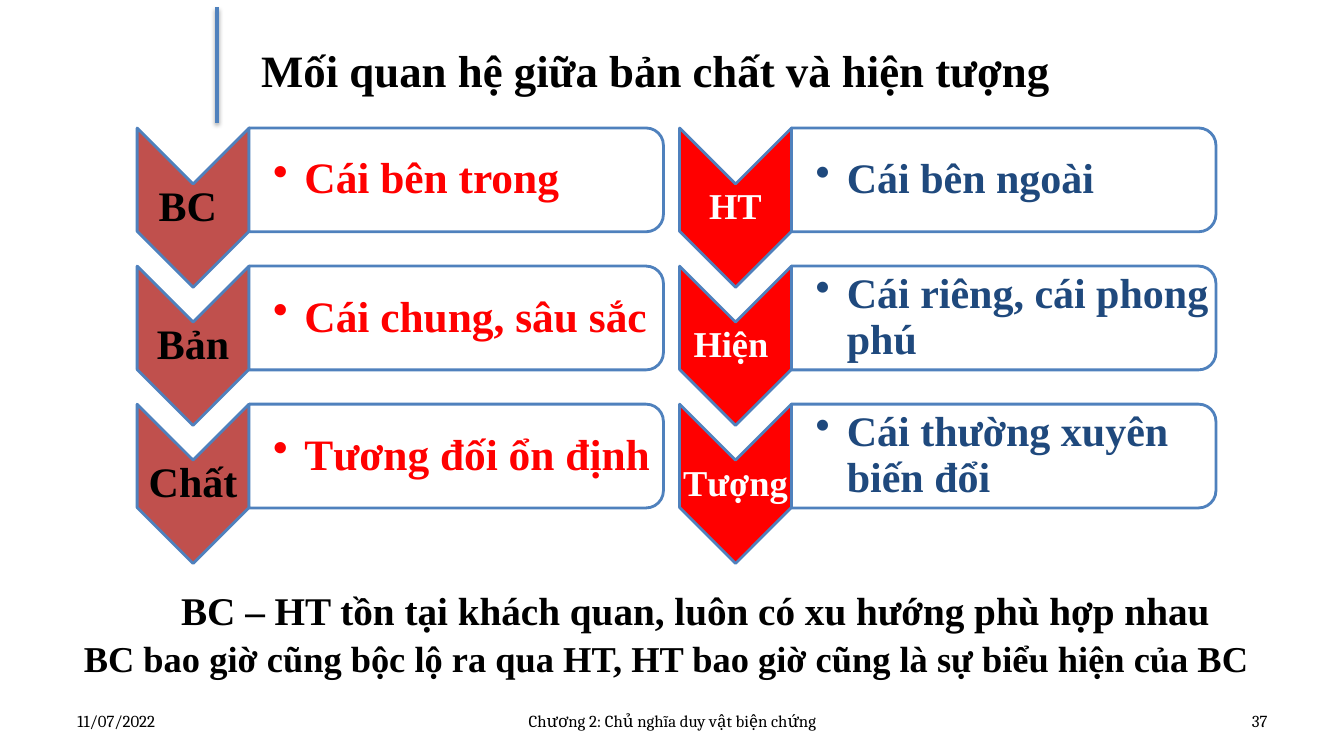
from pptx import Presentation
from pptx import util as u
from pptx.dml.color import RGBColor
from pptx.enum import shapes, text
from pptx.oxml import parse_xml
from pptx.oxml.ns import nsdecls, qn

SHAPE = shapes.MSO_SHAPE
ALIGN = text.PP_ALIGN
BLUE, RED, WHITE, BLACK = "4F81BD", "FF0000", "FFFFFF", "000000"


def paint(target, color):
    """Give a fill or line format a solid colour."""
    target.solid()
    target.fore_color.rgb = RGBColor.from_string(color)


def write(para, words, size=12, color=BLACK, bold=True, font="Times New Roman",
          align=ALIGN.LEFT, lead=1.0, after=0, left=0, hang=0, bullet=None):
    """Write one formatted paragraph."""
    para.alignment, para.line_spacing = align, lead
    para.space_before, para.space_after = u.Pt(0), u.Pt(after)
    props = para._p.get_or_add_pPr()
    props.set("marL", str(u.Inches(left)))
    props.set("indent", str(u.Inches(-hang)))
    mark = f'<a:buChar {nsdecls("a")} char="{bullet}"/>' if bullet else f'<a:buNone {nsdecls("a")}/>'
    props.append(parse_xml(mark))
    run = para.add_run()
    run.text = words
    run.font.name, run.font.size, run.font.bold = font, u.Pt(size), bold
    run.font.color.rgb = RGBColor.from_string(color)


class Deck:
    def __init__(self):
        self.prs = Presentation()
        self.prs.slide_width, self.prs.slide_height = u.Inches(13.33), u.Inches(7.5)
        self.slide = self.prs.slides.add_slide(self.prs.slide_layouts[1])
        self.items = self.slide.shapes

    def frame(self, shape, pad):
        """Set up the text area of a shape."""
        area = shape.text_frame
        area.word_wrap = True
        area.auto_size = text.MSO_AUTO_SIZE.NONE
        area.vertical_anchor = text.MSO_ANCHOR.MIDDLE
        (area.margin_left, area.margin_top,
         area.margin_right, area.margin_bottom) = map(u.Inches, pad)
        return area

    def holder(self, shape, box):
        """Move a placeholder and return its text area."""
        shape.left, shape.top, shape.width, shape.height = map(u.Inches, box)
        paint(shape.fill, WHITE)
        return self.frame(shape, (0.1, 0.05, 0.1, 0.05))

    def label(self, words, box, pad=(0.1, 0.05, 0.1, 0.05), **style):
        area = self.frame(self.items.add_textbox(*map(u.Inches, box)), pad)
        write(area.paragraphs[0], words, **style)

    def turned(self, kind, box, color, alpha=None):
        """Draw a shape turned by 90 degrees that fills the given box."""
        left, top, wide, high = box
        shift = (wide - high) / 2
        shape = self.items.add_shape(
            kind, *map(u.Inches, (left + shift, top - shift, high, wide)))
        shape.rotation = 90
        shape.shadow.inherit = False
        paint(shape.fill, color)
        if alpha:
            tone = shape._element.spPr.find(qn("a:solidFill"))[0]
            tone.append(parse_xml(f'<a:alpha {nsdecls("a")} val="{alpha * 1000}"/>'))
        paint(shape.line.fill, BLUE)
        shape.line.width = u.Pt(2)

    def rule(self, x, top, bottom):
        """Draw an upright line with a soft shadow."""
        line = self.items.add_connector(
            shapes.MSO_CONNECTOR.STRAIGHT, *map(u.Inches, (x, top, x, bottom)))
        paint(line.line.fill, BLUE)
        line.line.width = u.Pt(3)
        line._element.spPr.append(parse_xml(
            f'<a:effectLst {nsdecls("a")}><a:outerShdw blurRad="{u.Pt(3.1)}" '
            f'dist="{u.Pt(1.8)}" dir="5400000" rotWithShape="0"><a:srgbClr val="{BLACK}">'
            '<a:alpha val="35000"/></a:srgbClr></a:outerShdw></a:effectLst>'))

    def column(self, left, wide, fill, tag, point, rows):
        """Stack rows of a chevron with a tag and a panel with a point."""
        for row, (name, words) in enumerate(rows):
            top = 1.27 + 1.37 * row
            self.turned(SHAPE.CHEVRON, (left, top, 1.11, 1.58), fill)
            self.label(name, (left, top + 0.56, 1.11, 0.47), (0.02,) * 4,
                       align=ALIGN.CENTER, lead=0.9, **tag)
            side = left + 1.11
            self.turned(SHAPE.ROUND_2_SAME_RECTANGLE, (side, top, wide, 1.03), WHITE, 90)
            self.label(words, (side, top + 0.05, wide - 0.05, 0.93),
                       (0.24, 0.02, 0.02, 0.02), lead=0.9,
                       left=0.31, hang=0.31, bullet="•", **point)


def main():
    deck = Deck()

    # Title
    title = deck.holder(deck.items.title, (2.49, 0.37, 8.93, 0.64))
    write(title.paragraphs[0], "Mối quan hệ giữa bản chất và hiện tượng", size=32)
    deck.rule(2.15, 0.07, 1.22)

    # Essence and appearance
    deck.column(1.36, 4.11, "C0504D", dict(size=30), dict(size=31, color=RED), [
        ("BC ", "Cái bên trong"),
        ("Bản", "Cái chung, sâu sắc"),
        ("Chất", "Tương đối ổn định")])
    deck.column(6.74, 4.21, RED, dict(size=26, color=WHITE), dict(size=30, color="1F497D"), [
        ("HT", "Cái bên ngoài"),
        ("Hiện ", "Cái riêng, cái phong phú"),
        ("Tượng", "Cái thường xuyên biến đổi")])

    # Conclusion
    body = deck.holder(deck.slide.placeholders[1], (0.32, 5.74, 12.59, 1.08))
    write(body.paragraphs[0], "BC – HT tồn tại khách quan, luôn có xu hướng phù hợp nhau",
          size=28, align=ALIGN.CENTER, left=0.56, after=2)
    write(body.add_paragraph(),
          "BC bao giờ cũng bộc lộ ra qua HT, HT bao giờ cũng là sự biểu hiện của BC",
          size=26, align=ALIGN.CENTER)

    # Footer
    for words, left, wide, align in [
            ("11/07/2022", 0.67, 3.11, ALIGN.LEFT),
            ("Chương 2: Chủ nghĩa duy vật biện chứng", 4.56, 4.22, ALIGN.CENTER),
            ("37", 9.56, 3.11, ALIGN.RIGHT)]:
        deck.label(words, (left, 6.95, wide, 0.4), align=align, bold=False, font="Cambria")

    deck.prs.save("out.pptx")


if __name__ == "__main__":
    main()
